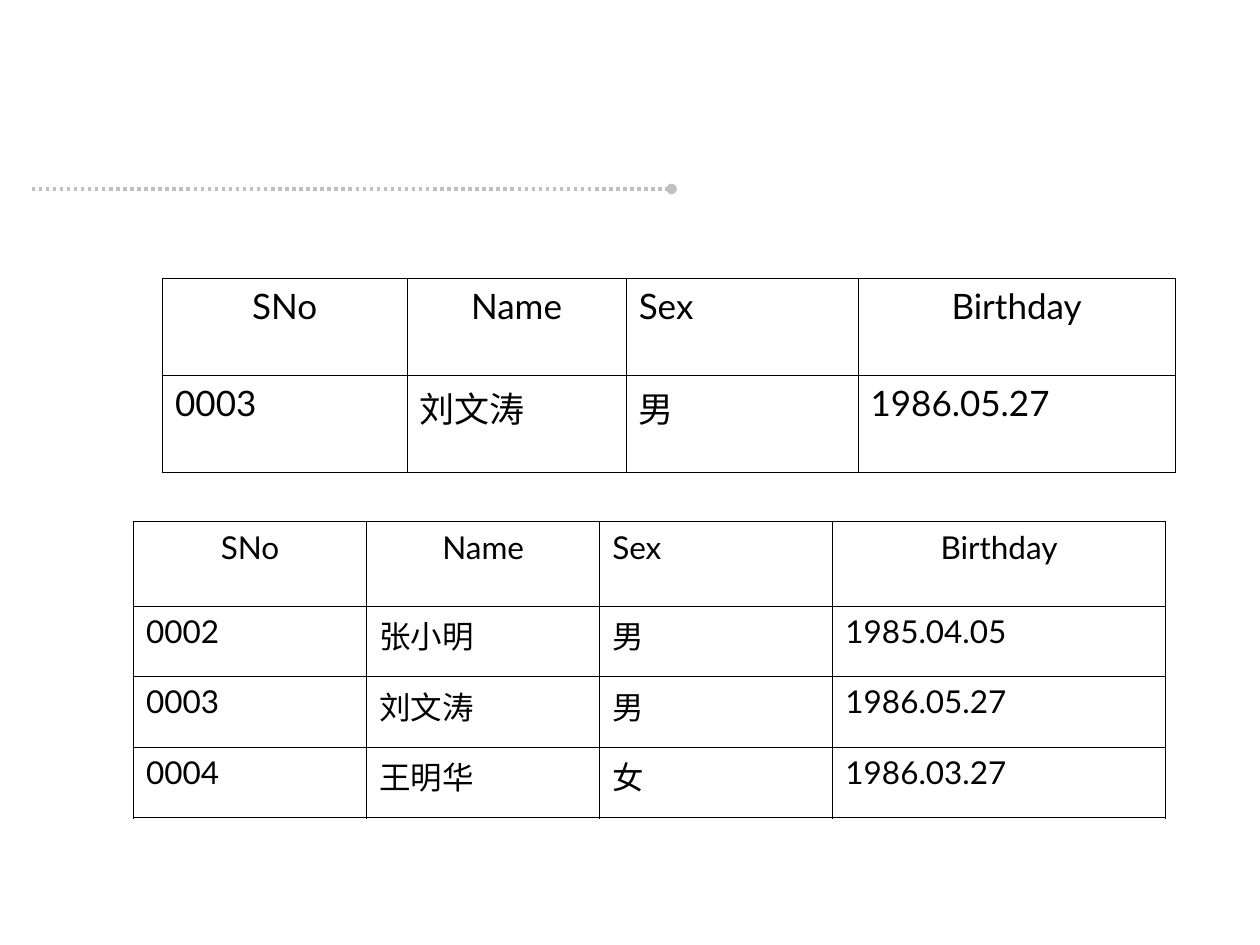
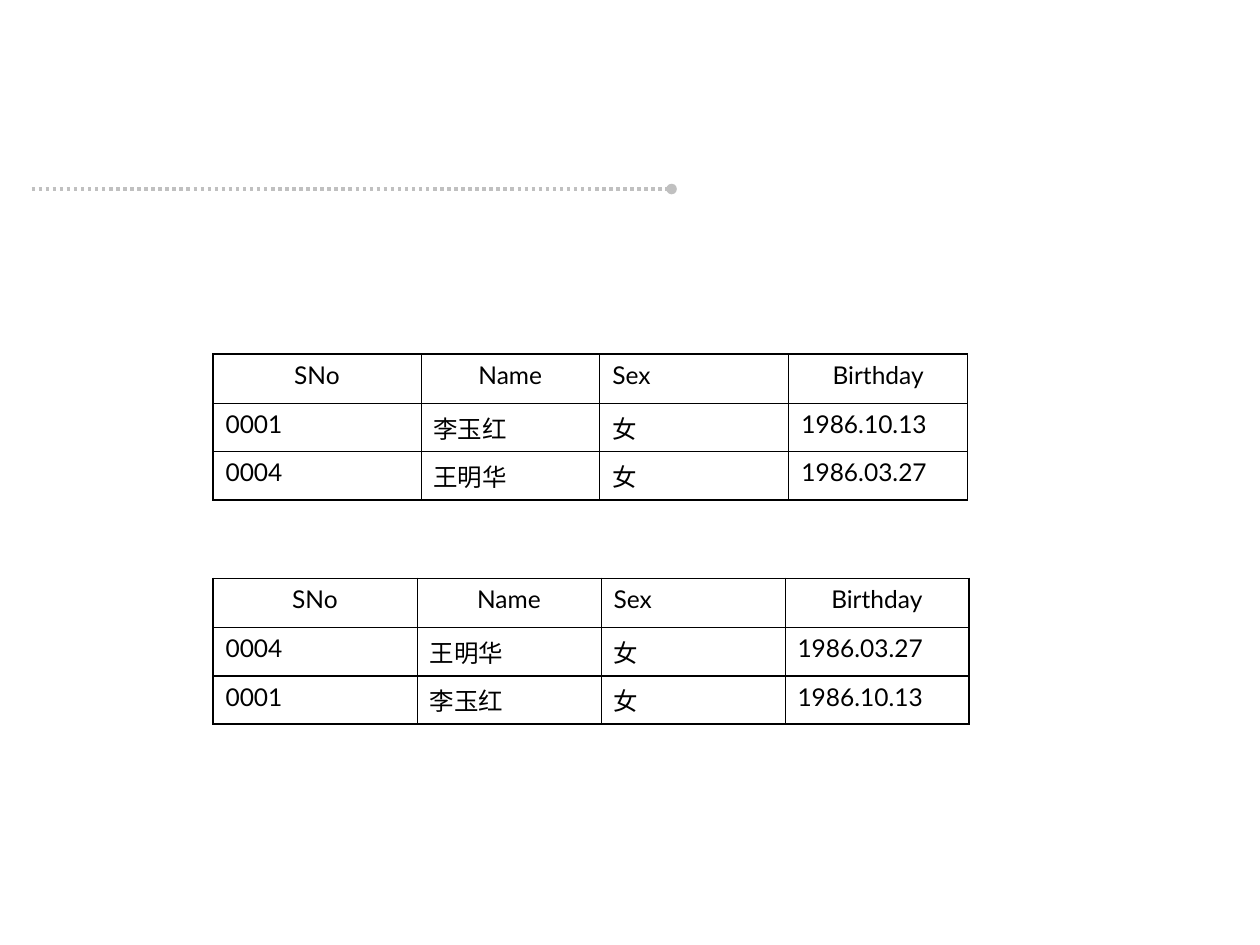
from pptx import Presentation
from pptx.dml.color import RGBColor
from pptx.enum.dml import MSO_LINE
from pptx.enum.shapes import MSO_CONNECTOR
from pptx.enum.text import PP_ALIGN
from pptx.oxml.ns import qn
from pptx.util import Inches, Pt
from lxml.etree import SubElement

BLACK = RGBColor(0x00, 0x00, 0x00)
SILVER = RGBColor(0xC0, 0xC0, 0xC0)
FONT = "Lato"
THIN, THICK = Pt(0.45), Pt(1.08)
HEADER = ("SNo", "Name", "Sex", "Birthday")

# Student records, by student number
STUDENTS = {
    "0001": ("李玉红", "女", "1986.10.13"),
    "0002": ("张小明", "男", "1985.04.05"),
    "0003": ("刘文涛", "男", "1986.05.27"),
    "0004": ("王明华", "女", "1986.03.27"),
}


class StudentDeck:
    def __init__(self):
        self.deck = Presentation()
        self.deck.slide_width, self.deck.slide_height = Inches(10), Inches(7.5)
        self.page = None

    def add_page(self):
        self.page = self.deck.slides.add_slide(self.deck.slide_layouts[6])
        self.add_title_rule()

    def add_title_rule(self):
        """Dotted line with a round end below the title area."""
        rule = self.page.shapes.add_connector(
            MSO_CONNECTOR.STRAIGHT, Inches(0.25), Inches(1.5), Inches(5.33), Inches(1.5))
        rule.line.color.rgb = SILVER
        rule.line.width = Pt(2)
        rule.line.dash_style = MSO_LINE.ROUND_DOT
        properties = rule._element.spPr
        SubElement(properties.find(qn("a:ln")), qn("a:tailEnd"), type="oval")
        SubElement(properties, qn("a:effectLst"))

    def add_student_table(self, numbers, left, top, widths, heights, size, thick_rules=()):
        """List the given students; thick_rules names inner rules, counted from the top."""
        records = [HEADER] + [(number, *STUDENTS[number]) for number in numbers]
        table = self.page.shapes.add_table(
            len(records), len(HEADER), Inches(left), Inches(top),
            Inches(sum(widths)), Inches(sum(heights))).table
        table.first_row = table.horz_banding = False
        for column, width in zip(table.columns, widths):
            column.width = Inches(width)
        for row, height in zip(table.rows, heights):
            row.height = Inches(height)

        thick_rows = {0, len(records), *thick_rules}
        thick_columns = {0, len(HEADER)}
        for r, record in enumerate(records):
            for c, text in enumerate(record):
                cell = table.cell(r, c)
                self.set_borders(cell, {
                    "lnL": c in thick_columns, "lnR": c + 1 in thick_columns,
                    "lnT": r in thick_rows, "lnB": r + 1 in thick_rows})
                cell.fill.background()
                cell.text = text
                para = cell.text_frame.paragraphs[0]
                centred = r == 0 and text != "Sex"
                para.alignment = PP_ALIGN.CENTER if centred else PP_ALIGN.LEFT
                para.font.name = FONT
                para.font.size = Pt(size)
                para.font.color.rgb = BLACK

    @staticmethod
    def set_borders(cell, thick_sides):
        properties = cell._tc.get_or_add_tcPr()
        for side, thick in thick_sides.items():
            border = SubElement(properties, qn(f"a:{side}"), w=str(THICK if thick else THIN))
            fill = SubElement(border, qn("a:solidFill"))
            SubElement(fill, qn("a:srgbClr"), val=str(BLACK))


def main():
    students = StudentDeck()

    # Slide 1: one student, then three
    students.add_page()
    students.add_student_table(
        ["0003"], 1.29, 2.21, [1.94, 1.74, 1.84, 2.52], [0.77] * 2, 20)
    students.add_student_table(
        ["0002", "0003", "0004"], 1.06, 4.14, [1.85] * 3 + [2.64], [0.67] + [0.56] * 3, 18)

    # Slide 2: two students by number, then by birthday
    students.add_page()
    students.add_student_table(
        ["0001", "0004"], 1.69, 2.81, [1.65, 1.42, 1.5, 1.42], [0.39, 0.34, 0.34], 14)
    students.add_student_table(
        ["0004", "0001"], 1.69, 4.59, [1.62] + [1.46] * 3, [0.39, 0.35, 0.38], 14,
        thick_rules=[2])

    students.deck.save("out.pptx")


if __name__ == "__main__":
    main()
